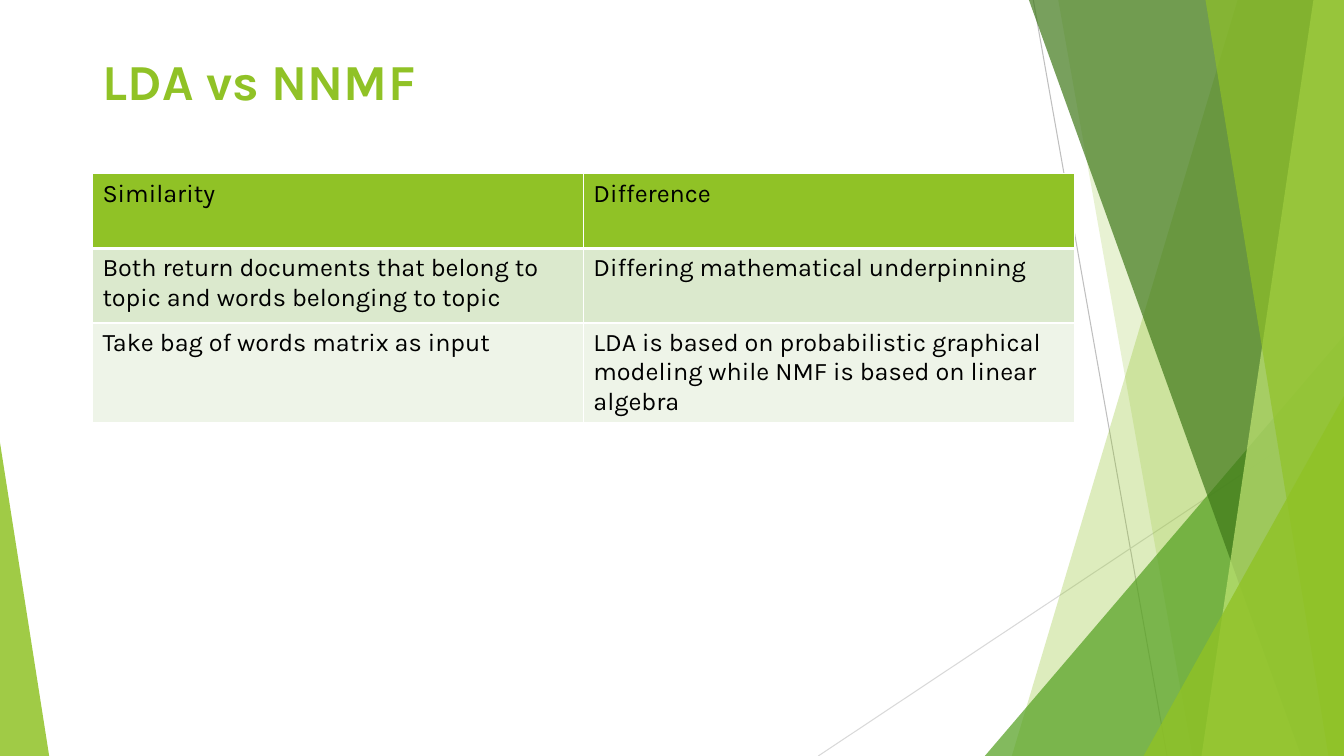
from lxml.etree import SubElement
from pptx import Presentation
from pptx.dml.color import RGBColor
from pptx.enum.shapes import MSO_CONNECTOR as Connector, MSO_SHAPE as Shape
from pptx.enum.text import MSO_ANCHOR as Anchor, PP_ALIGN as Align
from pptx.oxml.ns import qn
from pptx.util import Cm, Pt

FONT = "Karla"
LIME = RGBColor(0x90, 0xC2, 0x26)
GREEN = RGBColor(0x54, 0xA0, 0x21)
FOREST = RGBColor(0x3F, 0x78, 0x19)
PALE_LIME = RGBColor(0xC0, 0xE4, 0x74)
ROW_TINTS = (LIME, RGBColor(0xDB, 0xE9, 0xCD), RGBColor(0xEE, 0xF4, 0xE8))
GREY = RGBColor(0xBF, 0xBF, 0xBF)
LIGHT_GREY = RGBColor(0xD9, 0xD9, 0xD9)
BLACK = RGBColor(0, 0, 0)
WHITE = RGBColor(0xFF, 0xFF, 0xFF)

WIDTH, HEIGHT = 33.87, 19.05
ROWS = (
    ("Similarity", "Difference"),
    ("Both return documents that belong to topic and words belonging to topic",
     "Differing mathematical underpinning"),
    ("Take bag of words matrix as input",
     "LDA is based on probabilistic graphical modeling while NMF is based on linear algebra"),
)
ROW_HEIGHTS = (1.88, 1.88, 2.51)


def write_text(frame, text, size, color, bold=False):
    para = frame.paragraphs[0]
    para.alignment = Align.LEFT
    span = para.add_run()
    span.text = text
    span.font.name = FONT
    span.font.size = Pt(size)
    span.font.bold = bold
    span.font.color.rgb = color


def paint(shape, color, opacity):
    """Fill a shape with a see-through colour; opacity is a percentage."""
    shape.shadow.inherit = False
    shape.line.fill.background()
    shape.fill.solid()
    shape.fill.fore_color.rgb = color
    tint = shape.element.spPr.find(qn("a:solidFill"))[0]
    SubElement(tint, qn("a:alpha"), val=str(opacity * 1000))


def add_line(shapes, start, end, color):
    line = shapes.add_connector(Connector.STRAIGHT, *map(Cm, start + end))
    line.line.color.rgb = color
    line.line.width = Pt(0.75)
    SubElement(line.element.spPr, qn("a:effectLst"))


def add_band(shapes, top_x, bottom_x, color, opacity):
    """Draw a full-height band from a slanted left side to the right slide edge."""
    builder = shapes.build_freeform(Cm(top_x), Cm(0))
    corners = ((WIDTH, 0), (WIDTH, HEIGHT), (bottom_x, HEIGHT))
    builder.add_line_segments([(Cm(x), Cm(y)) for x, y in corners], close=True)
    paint(builder.convert_to_shape(), color, opacity)


def add_corner(shapes, left, top, width, apex, color, opacity):
    """Draw a triangle that stands on the bottom edge of the slide."""
    corner = shapes.add_shape(Shape.ISOSCELES_TRIANGLE, Cm(left), Cm(top),
                              Cm(width), Cm(HEIGHT - top))
    corner.adjustments[0] = apex
    paint(corner, color, opacity)


def add_facets(page):
    shapes = page.shapes.add_group_shape().shapes
    add_line(shapes, (26.04, 0), (29.41, HEIGHT), GREY)
    add_line(shapes, (WIDTH, 10.24), (20.62, HEIGHT), LIGHT_GREY)
    add_band(shapes, 31.19, 25.5, LIME, 30)
    add_band(shapes, 26.67, 30.05, LIME, 20)
    add_corner(shapes, 24.82, 8.46, 9.05, 1, GREEN, 72)
    add_band(shapes, 25.93, 32.79, FOREST, 70)
    add_band(shapes, 33.1, 30.28, PALE_LIME, 70)
    add_band(shapes, 30.38, 33.48, LIME, 65)
    add_corner(shapes, 28.82, 9.98, 5.05, 1, LIME, 80)
    add_corner(shapes, 0, 11.15, 1.24, 0, LIME, 85)


def place_title(page, text):
    title = page.shapes.title
    title.left, title.top, title.width, title.height = map(Cm, (2.33, 1.02, 29.21, 3.68))
    frame = title.text_frame
    frame.vertical_anchor = Anchor.TOP
    frame.margin_top = Cm(0.25)
    write_text(frame, text, 36, LIME, bold=True)
    title.element.getparent().append(title.element)


def add_borders(cell, bottom):
    props = cell._tc.get_or_add_tcPr()
    for position, (side, points) in enumerate(
            (("lnL", 1), ("lnR", 1), ("lnT", 1), ("lnB", bottom))):
        edge = SubElement(props, qn("a:" + side), w=str(Pt(points)))
        fill = SubElement(edge, qn("a:solidFill"))
        SubElement(fill, qn("a:srgbClr"), val=str(WHITE))
        props.insert(position, edge)


def add_comparison(page):
    table = page.shapes.add_table(len(ROWS), 2, Cm(2.33), Cm(4.38), Cm(24.74),
                                  Cm(sum(ROW_HEIGHTS))).table
    for row, (texts, height, tint) in enumerate(zip(ROWS, ROW_HEIGHTS, ROW_TINTS)):
        table.rows[row].height = Cm(height)
        for column, text in enumerate(texts):
            cell = table.cell(row, column)
            cell.fill.solid()
            cell.fill.fore_color.rgb = tint
            add_borders(cell, bottom=3 if row == 0 else 1)
            write_text(cell.text_frame, text, 18, BLACK)


def main():
    deck = Presentation()
    deck.slide_width, deck.slide_height = Cm(WIDTH), Cm(HEIGHT)
    page = deck.slides.add_slide(deck.slide_layouts.get_by_name("Title Only"))
    add_facets(page)
    place_title(page, "LDA vs NNMF")
    add_comparison(page)
    deck.save("out.pptx")


if __name__ == "__main__":
    main()
